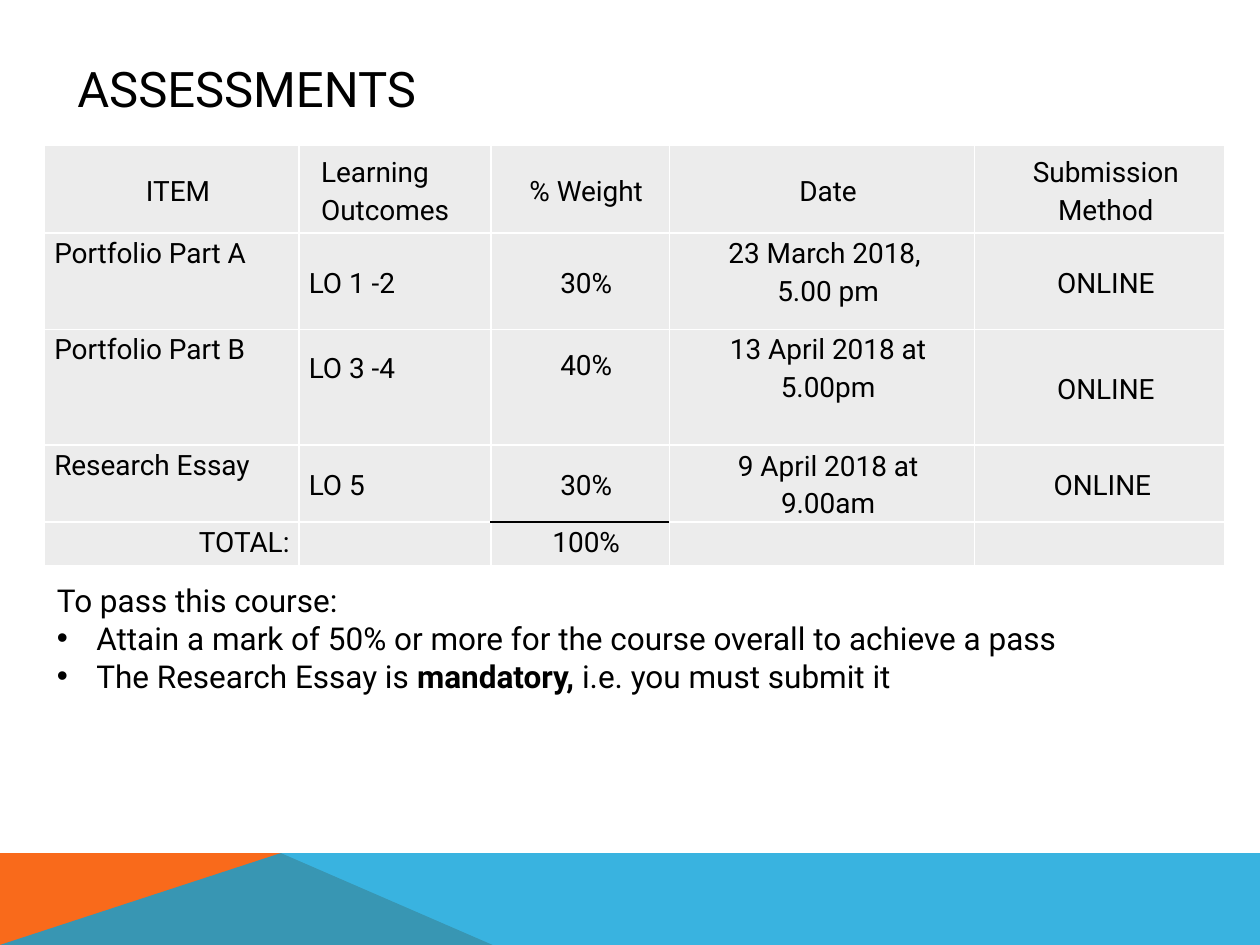
from lxml.etree import SubElement
from pptx import Presentation
from pptx.dml.color import RGBColor
from pptx.enum.text import MSO_ANCHOR as ANCHOR, PP_ALIGN as ALIGN
from pptx.oxml.ns import qn
from pptx.util import Pt

BLACK = RGBColor(0x00, 0x00, 0x00)
WHITE = RGBColor(0xFF, 0xFF, 0xFF)
GREY = RGBColor(0xEC, 0xEC, 0xEC)
ORANGE = RGBColor(0xF9, 0x6A, 0x1B)
BLUE = RGBColor(0x08, 0xA1, 0xD9)
FONT = "Roboto"

WIDTH, HEIGHT = 720, 540
BAND_TOP, PEAK = 487.5, 160.5
COLUMNS = [145.5, 109.5, 102, 174.5, 143]
ROWS = [50, 55, 66, 44, 25]
CELLS = [
    ["ITEM", "Learning Outcomes", "% Weight", "Date", "Submission Method"],
    ["Portfolio Part A", "LO 1 -2", "30%", "23 March 2018, \v5.00 pm", "ONLINE"],
    ["Portfolio Part B", "LO 3 -4", "40%", "13 April 2018 at 5.00pm", "ONLINE"],
    ["Research Essay", "LO 5", "30%", "9 April 2018 at 9.00am", "ONLINE "],
    ["TOTAL:", "", "100%", "", ""],
]
HEADER, PART_A, PART_B, ESSAY, TOTAL = range(5)
ITEM, OUTCOMES, WEIGHT, DATE, METHOD = range(5)
BOTTOM_INSETS = {(PART_B, OUTCOMES): 23, (PART_B, WEIGHT): 27}


def format_runs(p, size):
    for r in p.runs:
        r.font.name = FONT
        r.font.size = Pt(size)
        r.font.color.rgb = BLACK


def add_area(s, points, color, alpha=None):
    builder = s.shapes.build_freeform(Pt(points[0][0]), Pt(points[0][1]))
    builder.add_line_segments([(Pt(x), Pt(y)) for x, y in points[1:]], close=True)
    sp = builder.convert_to_shape()
    sp.shadow.inherit = False
    sp.fill.solid()
    sp.fill.fore_color.rgb = color
    sp.line.fill.background()
    if alpha:
        clr = sp.fill._xPr.find(qn("a:solidFill"))[0]
        SubElement(clr, qn("a:alpha"), val=str(alpha * 1000))


def add_title(s, text):
    sp = s.shapes.title
    sp.left, sp.top, sp.width, sp.height = Pt(37), Pt(29), Pt(657), Pt(43)
    tf = sp.text_frame
    tf.text = text
    tf.vertical_anchor = ANCHOR.MIDDLE
    p = tf.paragraphs[0]
    p.alignment = ALIGN.LEFT
    format_runs(p, 28)


def set_borders(cell, top, bottom):
    tc_pr = cell._tc.get_or_add_tcPr()
    for side, color in (("L", WHITE), ("R", WHITE), ("T", top), ("B", bottom)):
        ln = SubElement(tc_pr, qn("a:ln" + side), w=str(Pt(1)))
        fill = SubElement(ln, qn("a:solidFill"))
        SubElement(fill, qn("a:srgbClr"), val=str(color))


def format_cell(cell, row, col):
    cell.margin_left = cell.margin_right = Pt(5.5)
    cell.margin_top = 0
    cell.margin_bottom = Pt(BOTTOM_INSETS.get((row, col), 0))
    at_top = (row != HEADER and col == ITEM) or row == TOTAL or (
        col == DATE and row in (PART_A, PART_B))
    cell.vertical_anchor = ANCHOR.TOP if at_top else ANCHOR.MIDDLE

    p = cell.text_frame.paragraphs[0]
    p.line_spacing = 1.15
    indented = row in (HEADER, TOTAL) or col >= WEIGHT
    if indented:
        p._p.get_or_add_pPr().set("marL", str(Pt(7)))
        gap = 6 if row == HEADER or col == ITEM else 3
        p.space_before = Pt(0 if (row, col) == (PART_A, DATE) else gap)
        p.space_after = Pt(gap)
    if (row, col) == (TOTAL, ITEM):
        p.alignment = ALIGN.RIGHT
    elif indented and col != OUTCOMES:
        p.alignment = ALIGN.CENTER
    format_runs(p, 16)


def add_assessments(s):
    frame = s.shapes.add_table(len(ROWS), len(COLUMNS), Pt(25.5), Pt(83.2),
                               Pt(sum(COLUMNS)), Pt(sum(ROWS)))
    table = frame.table
    table.first_row = table.horz_banding = False
    for column, width in zip(table.columns, COLUMNS):
        column.width = Pt(width)
    for i, height in enumerate(ROWS):
        table.rows[i].height = Pt(height)
        for j, text in enumerate(CELLS[i]):
            cell = table.cell(i, j)
            cell.text_frame.text = text
            format_cell(cell, i, j)
            set_borders(cell,
                        BLACK if (i, j) == (TOTAL, WEIGHT) else WHITE,
                        BLACK if (i, j) == (ESSAY, WEIGHT) else WHITE)
            cell.fill.solid()
            cell.fill.fore_color.rgb = GREY


def add_bullet(tf, *parts):
    p = tf.add_paragraph()
    for text, bold in parts:
        r = p.add_run()
        r.text = text
        r.font.bold = bold
    p_pr = p._p.get_or_add_pPr()
    p_pr.set("marL", str(Pt(22.5)))
    p_pr.set("indent", str(-Pt(22.5)))
    SubElement(p_pr, qn("a:buFont"), typeface="Arial")
    SubElement(p_pr, qn("a:buChar"), char="•")


def add_requirements(s):
    tf = s.shapes.add_textbox(Pt(25.5), Pt(328.5), Pt(629), Pt(73)).text_frame
    tf.word_wrap = True
    tf.text = "To pass this course:"
    add_bullet(tf, ("Attain a mark of 50% or more for the course overall "
                    "to achieve a pass", False))
    add_bullet(tf, ("The Research Essay is ", False), ("mandatory, ", True),
               ("i.e. you must submit it", False))
    for p in tf.paragraphs:
        format_runs(p, 18)


def main():
    prs = Presentation()
    prs.slide_width, prs.slide_height = Pt(WIDTH), Pt(HEIGHT)
    s = prs.slides.add_slide(prs.slide_layouts[5])
    add_area(s, [(0, HEIGHT), (0, BAND_TOP), (PEAK, BAND_TOP), (281.5, HEIGHT)],
             ORANGE)
    add_area(s, [(0, HEIGHT), (PEAK, BAND_TOP), (WIDTH, BAND_TOP), (WIDTH, HEIGHT)],
             BLUE, 80)
    add_title(s, "ASSESSMENTS")
    add_assessments(s)
    add_requirements(s)
    prs.save("out.pptx")


if __name__ == "__main__":
    main()
